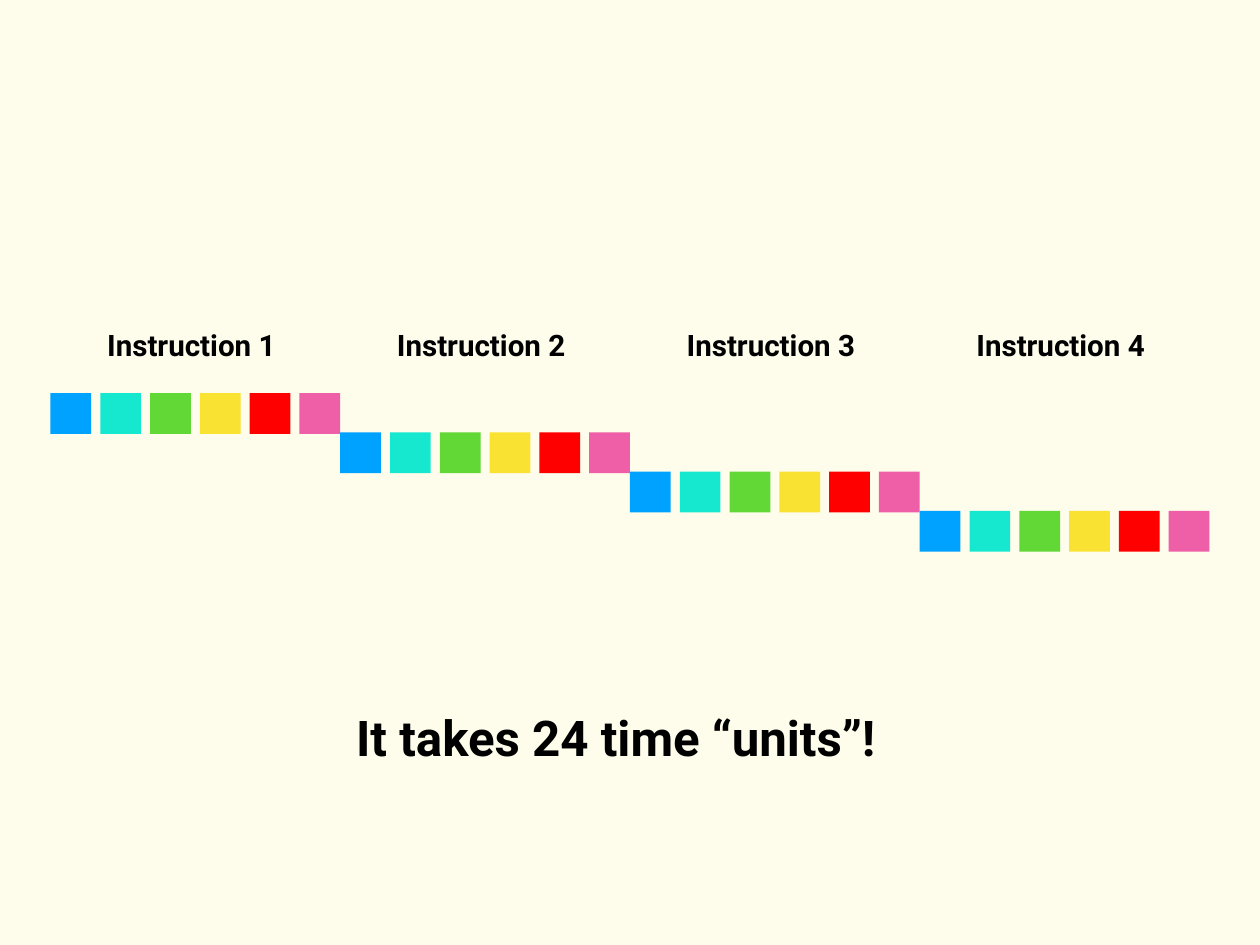
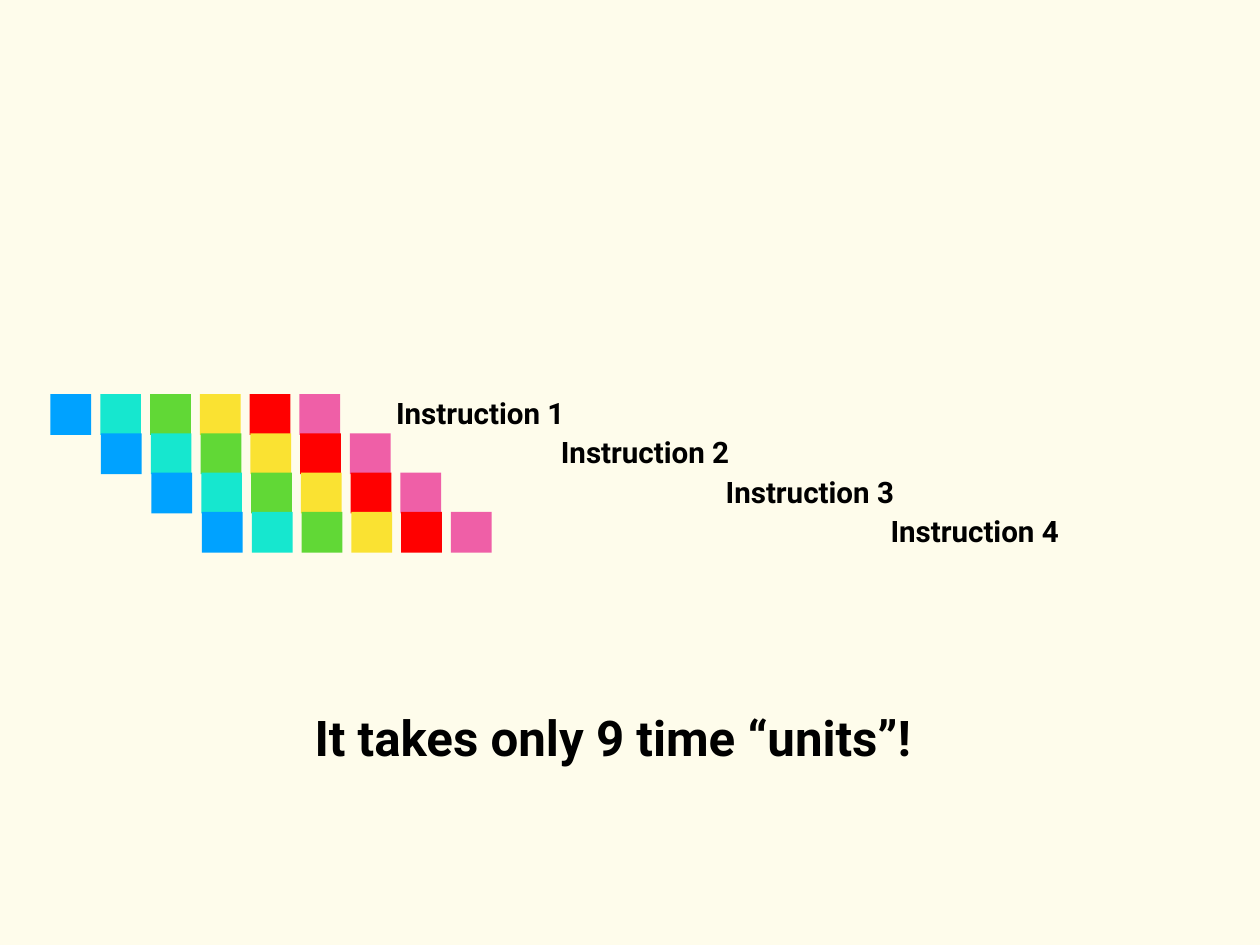
from dataclasses import dataclass

from pptx import Presentation
from pptx.dml.color import RGBColor
from pptx.enum.shapes import MSO_SHAPE
from pptx.enum.text import MSO_ANCHOR, MSO_AUTO_SIZE, PP_ALIGN
from pptx.util import Inches, Pt


@dataclass(frozen=True)
class Theme:
    background: str = "FEFCEB"
    text: str = "000000"
    stages: tuple = ("00A2FF", "16E7CF", "61D836", "FAE232", "FF0000", "EF5FA7")
    font: str = "Roboto"
    label_size: int = 24
    title_size: int = 40


@dataclass(frozen=True)
class Timeline:
    title: str
    title_left: float
    title_width: float
    top: float
    instruction_step: float
    label_left: float
    label_top: float
    label_step: tuple


THEME = Theme()
TITLE_ONLY = 5
INSTRUCTIONS = 4
LEFT = 0.57
SQUARE = 0.46
STAGE_STEP = 2.81 / 5
ROW_STEP = 1.33 / 3

TIMELINES = (
    Timeline(
        title="It takes 24 time “units”!", title_left=3.96, title_width=6.3,
        top=4.44, instruction_step=3.27,
        label_left=1.15, label_top=3.64, label_step=(3.27, 0),
    ),
    Timeline(
        title="It takes only 9 time “units”!", title_left=3.49, title_width=7.24,
        top=4.45, instruction_step=0.57,
        label_left=4.41, label_top=4.41, label_step=(1.86, ROW_STEP),
    ),
)


def write_text(shape, text, size):
    frame = shape.text_frame
    frame.text = text
    frame.word_wrap = True
    frame.auto_size = MSO_AUTO_SIZE.NONE
    frame.vertical_anchor = MSO_ANCHOR.MIDDLE
    frame.margin_left = frame.margin_right = Inches(0.06)
    frame.margin_top = frame.margin_bottom = Inches(0.06)
    paragraph = frame.paragraphs[0]
    paragraph.alignment = PP_ALIGN.LEFT
    paragraph.font.name = THEME.font
    paragraph.font.size = Pt(size)
    paragraph.font.bold = True
    paragraph.font.color.rgb = RGBColor.from_string(THEME.text)


def place_title(slide, text, left, width):
    title = slide.shapes.title
    title.left, title.top = Inches(left), Inches(7.93)
    title.width, title.height = Inches(width), Inches(0.78)
    write_text(title, text, THEME.title_size)


def add_label(slide, text, left, top):
    label = slide.shapes.add_textbox(Inches(left), Inches(top), Inches(2.12), Inches(0.5))
    write_text(label, text, THEME.label_size)


def add_stages(slide, left, top):
    group = slide.shapes.add_group_shape()
    for index, color in enumerate(THEME.stages):
        square = group.shapes.add_shape(
            MSO_SHAPE.RECTANGLE, Inches(left + index * STAGE_STEP), Inches(top),
            Inches(SQUARE), Inches(SQUARE),
        )
        square.shadow.inherit = False
        square.fill.solid()
        square.fill.fore_color.rgb = RGBColor.from_string(color)
        square.line.fill.background()


def add_timeline_slide(presentation, timeline):
    slide = presentation.slides.add_slide(presentation.slide_layouts[TITLE_ONLY])
    place_title(slide, timeline.title, timeline.title_left, timeline.title_width)
    across, down = timeline.label_step
    for index in range(INSTRUCTIONS):
        add_stages(slide, LEFT + index * timeline.instruction_step,
                   timeline.top + index * ROW_STEP)
        add_label(slide, f"Instruction {index + 1}",
                  timeline.label_left + index * across,
                  timeline.label_top + index * down)


def main():
    presentation = Presentation()
    presentation.slide_width = Inches(14.22)
    presentation.slide_height = Inches(10.67)
    background = presentation.slide_master.background.fill
    background.solid()
    background.fore_color.rgb = RGBColor.from_string(THEME.background)
    for timeline in TIMELINES:
        add_timeline_slide(presentation, timeline)
    presentation.save("out.pptx")


main()
